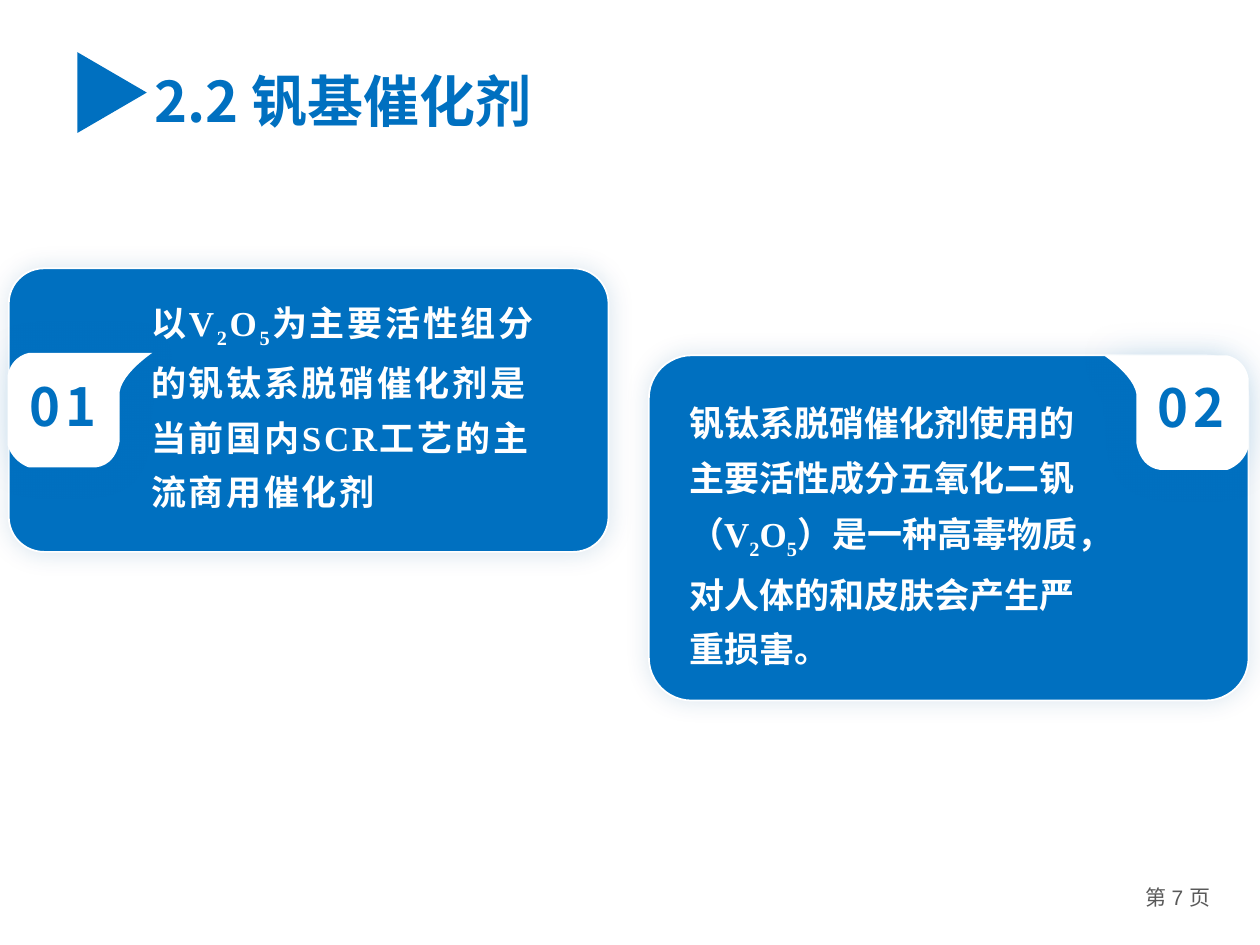
"""Build the slide on vanadium-based catalysts with two numbered cards."""
from lxml import etree
from pptx import Presentation, util as u
from pptx.dml.color import RGBColor
from pptx.enum import shapes, text
from pptx.oxml import ns

BLUE, WHITE, GREY = "0070C0", "FFFFFF", "595959"
SANS, SERIF = "Noto Sans CJK SC", "Times New Roman"

deck = Presentation()
deck.slide_width, deck.slide_height = u.Inches(10), u.Inches(7.5)
COL, ROW = deck.slide_width / 100, deck.slide_height / 75
slide = deck.slides.add_slide(deck.slide_layouts[6])


def paint(fill, colour):
    fill.solid()
    fill.fore_color.rgb = RGBColor.from_string(colour)


def write(words, *, at, size, colour, font=SANS, bold=True, align="LEFT", anchor="TOP",
          leading=None, spacing=0, inset=(1, 0.5), wrap=True):
    left, top, width, height = at
    box = slide.shapes.add_textbox(int(left * COL), int(top * ROW), int(width * COL), int(height * ROW))
    frame = box.text_frame
    frame.word_wrap = wrap
    frame.vertical_anchor = text.MSO_ANCHOR[anchor]
    frame.margin_left = frame.margin_right = int(inset[0] * COL)
    frame.margin_top = frame.margin_bottom = int(inset[1] * ROW)
    paragraph = frame.paragraphs[0]
    paragraph.alignment = text.PP_ALIGN[align]
    paragraph.line_spacing = leading
    for i, part in enumerate(words.split("|")):
        run = paragraph.add_run()
        run.text = part
        run.font.size, run.font.bold, run.font.name = u.Pt(size), bold, font
        paint(run.font.fill, colour)
        props = run._r.get_or_add_rPr()
        props.set("spc", str(int(spacing * 100)))
        if i % 2:
            props.set("baseline", "-25000")
        etree.SubElement(props, ns.qn("a:ea"), typeface=SANS)


write("第 7 页", at=(89, 69.8, 9, 4), size=12, colour=GREY, font="Arial", bold=False,
      align="CENTER", inset=(0.7, 0.4))

tab_corners = [
    ((11.5, 0), (9.1, 1.6), (8.9, 3.1)),
    ((8.9, 7), (8.7, 8.9), (7, 9.1)),
    ((1.7, 9.1), (0.4, 8.7), (0, 7.3)),
    ((0, 1.9), (0.1, 0.4), (1.7, 0)),
]
STEPS = 12
cards = [
    dict(number="01", panel=(0.7, 21.3, 47.6, 22.5), edge=0.6, side=1, tab_top=28,
         number_at=(1.5, 29.7, 7, 5.6), body_at=(11.2, 23.1, 32.7, 17.3),
         body="以V|2|O|5|为主要活性组分的钒钛系脱硝催化剂是当前国内SCR工艺的主流商用催化剂",
         layout=dict(anchor="MIDDLE", spacing=1.5, inset=(0.8, 0.4))),
    dict(number="02", panel=(51.5, 28.2, 47.6, 27.4), edge=99.1, side=-1, tab_top=28.2,
         number_at=(91, 29.8, 7, 5.6), body_at=(53.7, 30.4, 35.1, 22.9),
         body="钒钛系脱硝催化剂使用的主要活性成分五氧化二钒（V|2|O|5|）是一种高毒物质，对人体的和皮肤会产生严重损害。",
         layout={}),
]

for card in cards:
    left, top, width, height = card["panel"]
    panel = slide.shapes.add_shape(shapes.MSO_SHAPE.ROUNDED_RECTANGLE, int(left * COL), int(top * ROW),
                                   int(width * COL), int(height * ROW))
    panel.adjustments[0] = 0.124
    paint(panel.fill, BLUE)
    paint(panel.line.fill, WHITE)
    panel.line.width = u.Pt(1)

    outline = []
    for start, control, end in tab_corners:
        for step in range(STEPS + 1):
            t = step / STEPS
            x, y = ((1 - t) ** 2 * (1 + 2 * t) * a + 3 * (1 - t) * t ** 2 * b + t ** 3 * c
                    for a, b, c in zip(start, control, end))
            outline.append((int((card["edge"] + card["side"] * x) * COL), int((card["tab_top"] + y) * ROW)))
    builder = slide.shapes.build_freeform(*outline[0])
    builder.add_line_segments(outline[1:], close=True)
    tab = builder.convert_to_shape()
    paint(tab.fill, WHITE)
    tab.line.fill.background()

    for part, colour, blur, alpha in ((panel, "005490", 14, 15), (tab, BLUE, 22, 13)):
        part.shadow.inherit = False
        effects = part._element.spPr.find(ns.qn("a:effectLst"))
        glow = etree.SubElement(effects, ns.qn("a:outerShdw"), blurRad=str(u.Pt(blur)), dist="0",
                                dir="0", algn="ctr", rotWithShape="0")
        tint = etree.SubElement(glow, ns.qn("a:srgbClr"), val=colour)
        etree.SubElement(tint, ns.qn("a:alpha"), val=str(alpha * 1000))

    write(card["body"], at=card["body_at"], size=20, colour=WHITE, font=SERIF, leading=1.3, **card["layout"])
    write(card["number"], at=card["number_at"], size=30, colour=BLUE, align="CENTER", spacing=3, inset=(0, 0))

write("2.2 钒基催化剂", at=(11.3, 4.8, 33.3, 6.4), size=32, colour=BLUE, wrap=False)

marker = slide.shapes.add_shape(shapes.MSO_SHAPE.ISOSCELES_TRIANGLE, int(5.7 * COL), int(4.6 * ROW),
                                int(6.4 * COL), int(5.5 * ROW))
marker.rotation = 90
marker.shadow.inherit = False
paint(marker.fill, BLUE)
marker.line.fill.background()

deck.save("out.pptx")
